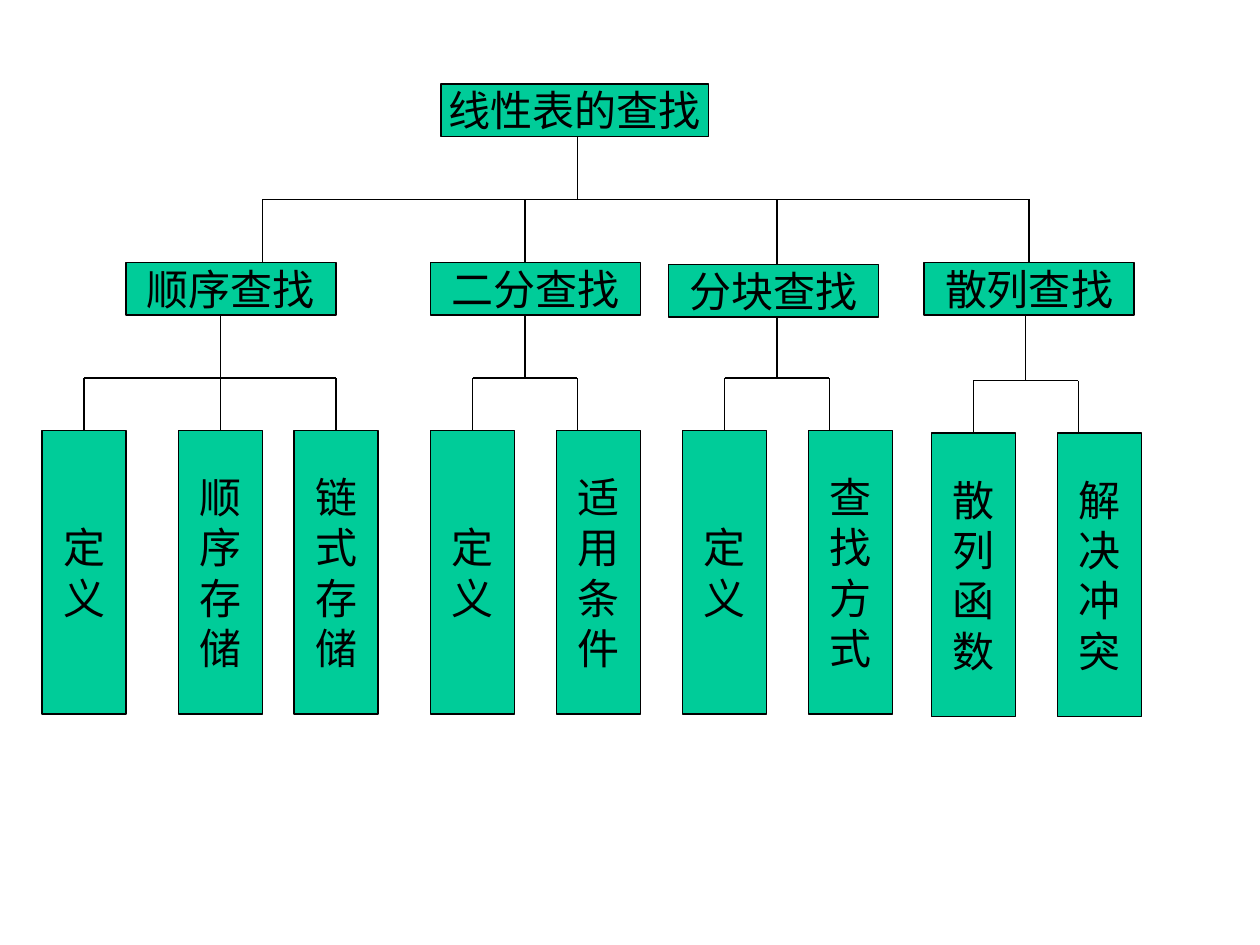
from dataclasses import dataclass
from pptx import Presentation
from pptx.dml.color import RGBColor
from pptx.enum.shapes import MSO_CONNECTOR, MSO_SHAPE
from pptx.enum.text import MSO_ANCHOR, PP_ALIGN
from pptx.oxml.ns import qn
from pptx.util import Inches, Pt

COLS, ROWS = 120, 90
ROOT_TOP, RAIL, BRANCH_TOP, FORK, LEAF_TOP = 8, 19, 25, 36, 41
BAR_H = 5
BRANCH_W, LEAF_W, LEAF_H = 20, 8, 27
TOP, BOTTOM = 0, 2

# name, left, lowered by, drop column, stem column, leaves as (text, left, drop column)
BRANCHES = [
    ("顺序查找", 12, 0, 25, 21,
     [("定义", 4, 8), ("顺序存储", 17, 21), ("链式存储", 28, 32)]),
    ("二分查找", 41, 0, 50, 50, [("定义", 41, 45), ("适用条件", 53, 55)]),
    ("分块查找", 63.7, 0.2, 74, 74, [("定义", 65, 69), ("查找方式", 77, 79)]),
    ("散列查找", 88, 0, 98, 97.7,
     [("散列函数", 88.7, 92.7), ("解决冲突", 100.7, 102.7)]),
]
LEAF_DIPS = [0, 0, 0, 0.25]


@dataclass
class Theme:
    fill: RGBColor = RGBColor(0x00, 0xCC, 0x99)
    ink: RGBColor = RGBColor(0, 0, 0)
    font: str = "Times New Roman"
    size: Pt = Pt(24)
    rule: Pt = Pt(0.75)


class Chart:
    def __init__(self, deck, theme):
        self.theme = theme
        self.slide = deck.slides.add_slide(deck.slide_layouts[6])
        self.col = deck.slide_width / COLS
        self.row = deck.slide_height / ROWS

    def place(self, x, y):
        return round(x * self.col), round(y * self.row)

    def box(self, lines, x, y, w, h):
        shape = self.slide.shapes.add_shape(
            MSO_SHAPE.RECTANGLE, *self.place(x, y), *self.place(w, h))
        shape.shadow.inherit = False
        shape.fill.solid()
        shape.fill.fore_color.rgb = self.theme.fill
        shape.line.color.rgb = self.theme.ink
        shape.line.width = self.theme.rule
        frame = shape.text_frame
        frame.word_wrap = False
        frame.vertical_anchor = MSO_ANCHOR.MIDDLE
        frame.text = "\n".join(lines)
        for para in frame.paragraphs:
            para.alignment = PP_ALIGN.CENTER
            para.font.name = self.theme.font
            para.font.size = self.theme.size
            para.font.color.rgb = self.theme.ink
        return shape

    def line(self, x1, y1, x2, y2):
        wire = self.slide.shapes.add_connector(
            MSO_CONNECTOR.STRAIGHT, *self.place(x1, y1), *self.place(x2, y2))
        wire.line.color.rgb = self.theme.ink
        wire.line.width = self.theme.rule
        props = wire._element.spPr
        props.append(props.makeelement(qn("a:effectLst"), {}))
        return wire

    def centred(self, shape, x):
        return abs(shape.left + shape.width / 2 - x * self.col) < self.col / 20

    def stem(self, shape, x, y1, y2):
        """Line from a box down to a rail, joined where it meets the middle."""
        wire = self.line(x, y1, x, y2)
        if self.centred(shape, x):
            wire.begin_connect(shape, BOTTOM)

    def drop(self, shape, x, y1, y2):
        """Line from a rail down to a box, joined where it meets the middle."""
        wire = self.line(x, y1, x, y2)
        if self.centred(shape, x):
            wire.end_connect(shape, TOP)

    def branch(self, name, left, low, drop, stem, leaves, dip):
        top = BRANCH_TOP + low
        head = self.box([name], left, top, BRANCH_W, BAR_H)
        self.drop(head, drop, RAIL, top)
        fork, base = FORK + dip, LEAF_TOP + dip
        self.stem(head, stem, top + BAR_H, fork)
        self.line(leaves[0][2], fork, leaves[-1][2], fork)
        for text, x, mark in leaves:
            leaf = self.box(text, x, base, LEAF_W, LEAF_H)
            self.drop(leaf, mark, fork, base)


def main():
    deck = Presentation()
    deck.slide_width, deck.slide_height = Inches(10), Inches(7.5)
    chart = Chart(deck, Theme())
    root = chart.box(["线性表的查找"], 42, ROOT_TOP, 25.5, BAR_H)
    chart.stem(root, 55, ROOT_TOP + BAR_H, RAIL)
    chart.line(BRANCHES[0][3], RAIL, BRANCHES[-1][3], RAIL)
    for branch, dip in zip(BRANCHES, LEAF_DIPS):
        chart.branch(*branch, dip)
    deck.save("out.pptx")


if __name__ == "__main__":
    main()
